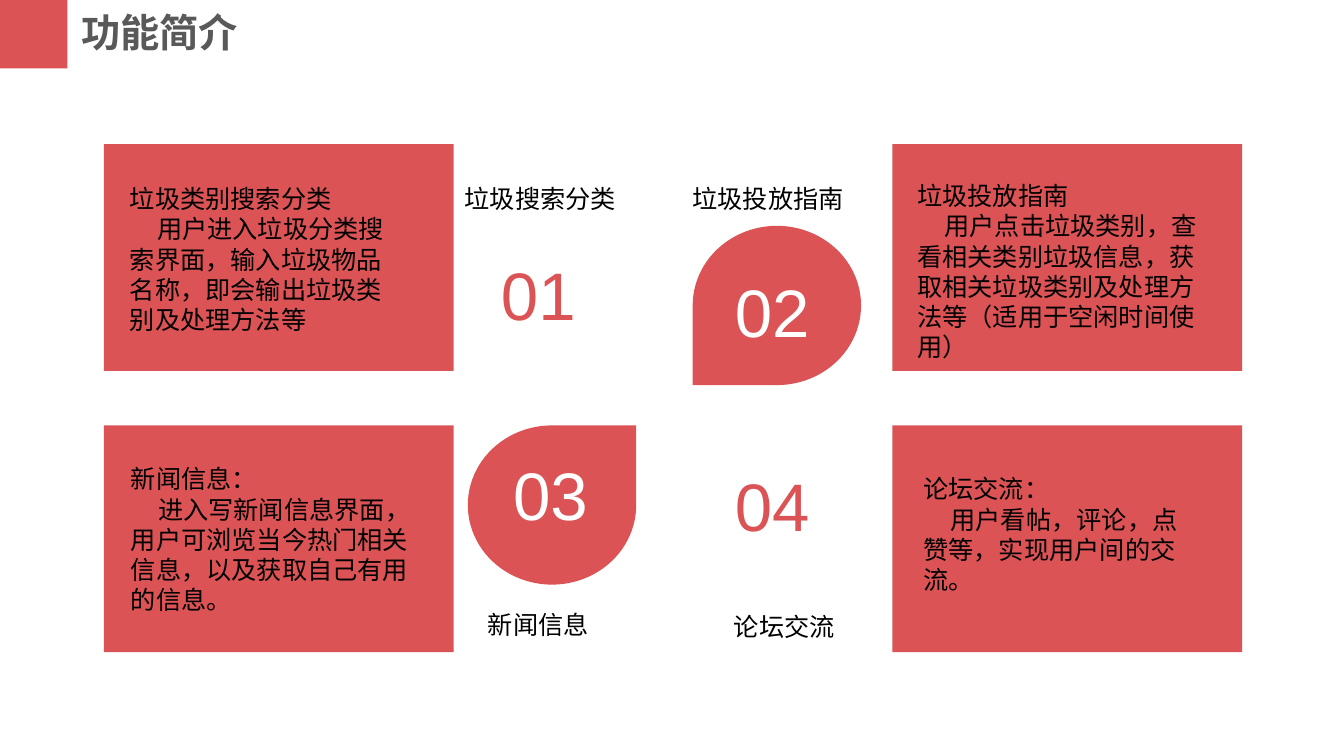
from pptx import Presentation
from pptx.dml.color import RGBColor
from pptx.enum.shapes import MSO_SHAPE
from pptx.enum.text import MSO_AUTO_SIZE
from pptx.util import Inches, Pt

RED, GREY, BLACK, WHITE = "DB5355", "595959", "000000", "FFFFFF"
HEADING = "功能简介"
CARD_COLUMNS, CARD_ROWS = (1.03, 8.85), (1.43, 4.22)
CARD_SIZE = (3.47, 2.25)
DROP_SIZE = (1.67, 1.58)
NUMBER_SIZE = (1.33, 0.91)
FIRST_LINE_INDENT = 0.27

FEATURES = [
    dict(label="垃圾搜索分类", label_at=(4.51, 1.77, 1.74, 0.4),
         number_at=(4.87, 2.46), drop=None,
         title="垃圾类别搜索分类", inset=(0.16, 0.34), detail_size=(2.87, 1.61),
         detail="用户进入垃圾分类搜索界面，输入垃圾物品名称，即会输出垃圾类别及处理方法等"),
    dict(label="垃圾投放指南", label_at=(6.77, 1.77, 1.77, 0.4),
         number_at=(7.19, 2.63), drop=(6.87, 2.24, 180),
         title="垃圾投放指南", inset=(0.15, 0.31), detail_size=(3.16, 1.92),
         detail="用户点击垃圾类别，查看相关类别垃圾信息，获取相关垃圾类别及处理方法等（适用于空闲时间使用）"),
    dict(label="新闻信息", label_at=(4.74, 6, 1.48, 0.4),
         number_at=(4.99, 4.45), drop=(4.64, 4.22, 0),
         title="新闻信息：", inset=(0.17, 0.33), detail_size=(3.19, 1.61),
         detail="进入写新闻信息界面，用户可浏览当今热门相关信息，以及获取自己有用的信息。"),
    dict(label="论坛交流", label_at=(7.18, 6.02, 1.27, 0.4),
         number_at=(7.19, 4.56), drop=None,
         title="论坛交流：", inset=(0.21, 0.43), detail_size=(2.84, 1.31),
         detail="用户看帖，评论，点赞等，实现用户间的交流。"),
]

deck = Presentation()
deck.slide_width, deck.slide_height = Inches(13.33), Inches(7.5)
slide = deck.slides.add_slide(deck.slide_layouts[6])


def colour(value):
    return RGBColor.from_string(value)


def add_block(kind, left, top, width, height, rotation=0):
    block = slide.shapes.add_shape(kind, *map(Inches, (left, top, width, height)))
    block.shadow.inherit = False
    block.fill.solid()
    block.fill.fore_color.rgb = colour(RED)
    block.line.fill.background()
    block.rotation = rotation


def add_text(lines, left, top, width, height, size=18, font="Calibri", ink=BLACK, bold=False):
    frame = slide.shapes.add_textbox(*map(Inches, (left, top, width, height))).text_frame
    frame.word_wrap = True
    frame.auto_size = MSO_AUTO_SIZE.SHAPE_TO_FIT_TEXT
    frame.text = "\n".join(lines)
    for order, paragraph in enumerate(frame.paragraphs):
        if order:
            properties = paragraph._p.get_or_add_pPr()
            properties.set("marL", "0")
            properties.set("indent", str(Inches(FIRST_LINE_INDENT)))
        for run in paragraph.runs:
            run.font.size = Pt(size)
            run.font.name = font
            run.font.bold = bold
            run.font.color.rgb = colour(ink)


add_block(MSO_SHAPE.RECTANGLE, 0, 0, 0.67, 0.68)
add_text([HEADING], 0.71, 0.03, 4.9, 0.57, 28, "Noto Sans CJK SC", GREY, True)

for index, feature in enumerate(FEATURES):
    row, column = divmod(index, 2)
    card_left, card_top = CARD_COLUMNS[column], CARD_ROWS[row]
    add_block(MSO_SHAPE.RECTANGLE, card_left, card_top, *CARD_SIZE)
    inset_x, inset_y = feature["inset"]
    add_text([feature["title"], feature["detail"]],
             card_left + inset_x, card_top + inset_y, *feature["detail_size"])
    if feature["drop"]:
        drop_left, drop_top, turn = feature["drop"]
        add_block(MSO_SHAPE.TEAR, drop_left, drop_top, *DROP_SIZE, turn)
    add_text([f"{index + 1:02}"], *feature["number_at"], *NUMBER_SIZE, 48, "Arial",
             WHITE if feature["drop"] else RED)
    add_text([feature["label"]], *feature["label_at"])

deck.save("out.pptx")
